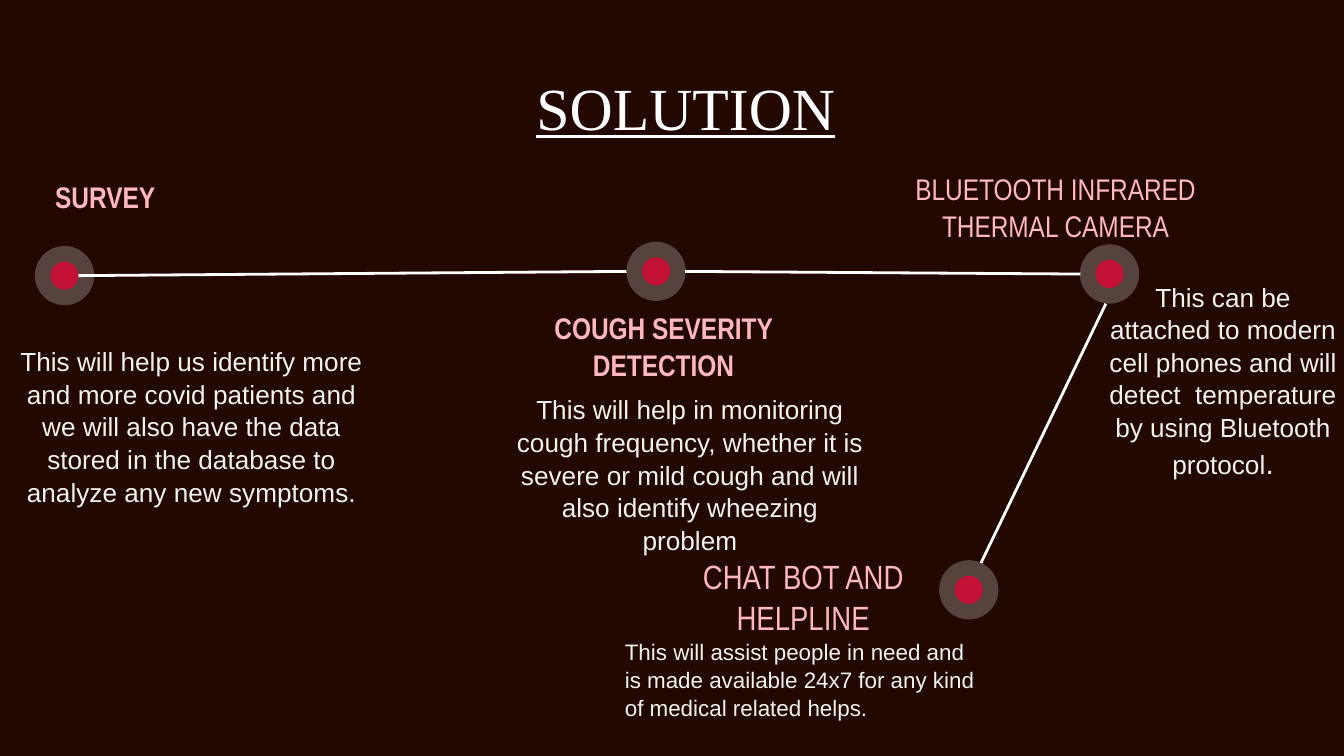
"""Build the SOLUTION slide: four linked steps, each with a heading and a note."""
from pptx import Presentation
from pptx.dml.color import RGBColor
from pptx.enum.shapes import MSO_CONNECTOR, MSO_SHAPE
from pptx.enum.text import MSO_ANCHOR, MSO_AUTO_SIZE, PP_ALIGN
from pptx.oxml.ns import qn
from pptx.util import Cm, Pt
from lxml.etree import SubElement

DARK = RGBColor(0x22, 0x08, 0x01)
WHITE = RGBColor(0xFF, 0xFF, 0xFF)
CREAM = RGBColor(0xF4, 0xF2, 0xEF)
PINK = RGBColor(0xFF, 0xB7, 0xC0)
RED = RGBColor(0xC3, 0x10, 0x35)


def style(run, size, face, color, bold=False):
    run.font.size = Pt(size)
    run.font.name = face
    run.font.color.rgb = color
    run.font.bold = bold


def write(area, words, size, face, color, bold=False, align=PP_ALIGN.CENTER, inset=(0.46, 0)):
    box = slide.shapes.add_textbox(*[Cm(n) for n in area])
    frame = box.text_frame
    frame.word_wrap = True
    frame.auto_size = MSO_AUTO_SIZE.NONE
    frame.vertical_anchor = MSO_ANCHOR.TOP
    frame.margin_top, frame.margin_bottom = [Cm(n) for n in inset]
    frame.text = words
    line = frame.paragraphs[0]
    line.alignment = align
    line.line_spacing = 1.04
    style(line.runs[0], size, face, color, bold)
    return line


deck = Presentation()
deck.slide_width, deck.slide_height = Cm(25.4), Cm(14.29)
slide = deck.slides.add_slide(deck.slide_layouts[5])
slide.background.fill.solid()
slide.background.fill.fore_color.rgb = DARK

title = slide.shapes.title
title.left, title.top, title.width, title.height = Cm(2.87), Cm(0.97), Cm(20.19), Cm(1.42)
frame = title.text_frame
frame.text = "SOLUTION"
frame.auto_size = MSO_AUTO_SIZE.NONE
frame.vertical_anchor = MSO_ANCHOR.TOP
frame.margin_top = Cm(0.36)
frame.paragraphs[0].alignment = PP_ALIGN.CENTER
name = frame.paragraphs[0].runs[0]
style(name, 32, "Times New Roman", WHITE)
name.font.underline = True

links = [
    (1.47, 5.21, 11.84, 5.13),
    (12.95, 5.13, 20.42, 5.18),
    (20.9, 5.74, 18.54, 10.64),
]
for ends in links:
    link = slide.shapes.add_connector(MSO_CONNECTOR.STRAIGHT, *[Cm(n) for n in ends])
    link.line.color.rgb = WHITE
    link.line.width = Pt(1.5)
    SubElement(link._element.spPr, qn("a:effectLst"))

nodes = [(1.22, 5.21), (12.4, 5.13), (20.97, 5.18), (18.31, 11.15)]
for x, y in nodes:
    group = slide.shapes.add_group_shape()
    for size, color, alpha in ((1.12, WHITE, 24), (0.53, RED, 100)):
        disc = group.shapes.add_shape(
            MSO_SHAPE.OVAL, Cm(x - size / 2), Cm(y - size / 2), Cm(size), Cm(size))
        disc.shadow.inherit = False
        disc.line.fill.background()
        disc.fill.solid()
        disc.fill.fore_color.rgb = color
        if alpha < 100:
            tint = disc._element.spPr.find(".//" + qn("a:srgbClr"))
            SubElement(tint, qn("a:alpha"), val=str(alpha * 1000))

heads = [
    ((-1.63, 2.9, 7.24, 2.51), "SURVEY", True),
    ((8.92, 5.36, 7.24, 1.73), "COUGH SEVERITY DETECTION", True),
    ((16.33, 2.74, 7.24, 1.91), "BLUETOOTH INFRARED THERMAL CAMERA", False),
]
for area, words, bold in heads:
    write(area, words, 16, "Arial Narrow", PINK, bold)

notes = [
    ((0, 6.05, 7.24, 4.57),
     "This will help us identify more and more covid patients and we will also have "
     "the data stored in the database to analyze any new symptoms."),
    ((9.42, 6.96, 7.24, 4.27),
     "This will help in monitoring cough frequency, whether it is severe or mild cough "
     "and will also identify wheezing problem"),
    ((20.65, 4.83, 4.93, 5.46),
     "This can be attached to modern cell phones and will detect  temperature by using "
     "Bluetooth protocol"),
]
for area, words in notes:
    note = write(area, words, 14, "Arial", CREAM)
stop = note.add_run()
stop.text = "."
style(stop, 16, "Arial", CREAM)

write((11.94, 10.34, 6.48, 1.8), "CHAT BOT AND HELPLINE", 18, "Arial Narrow", PINK,
      inset=(0.13, 0.13))
write((11.56, 11.91, 7.24, 1.8),
      "This will assist people in need and is made available 24x7 for any kind of "
      "medical related helps.", 12, "Arial", CREAM, align=PP_ALIGN.LEFT, inset=(0.13, 0.13))

deck.save("out.pptx")
